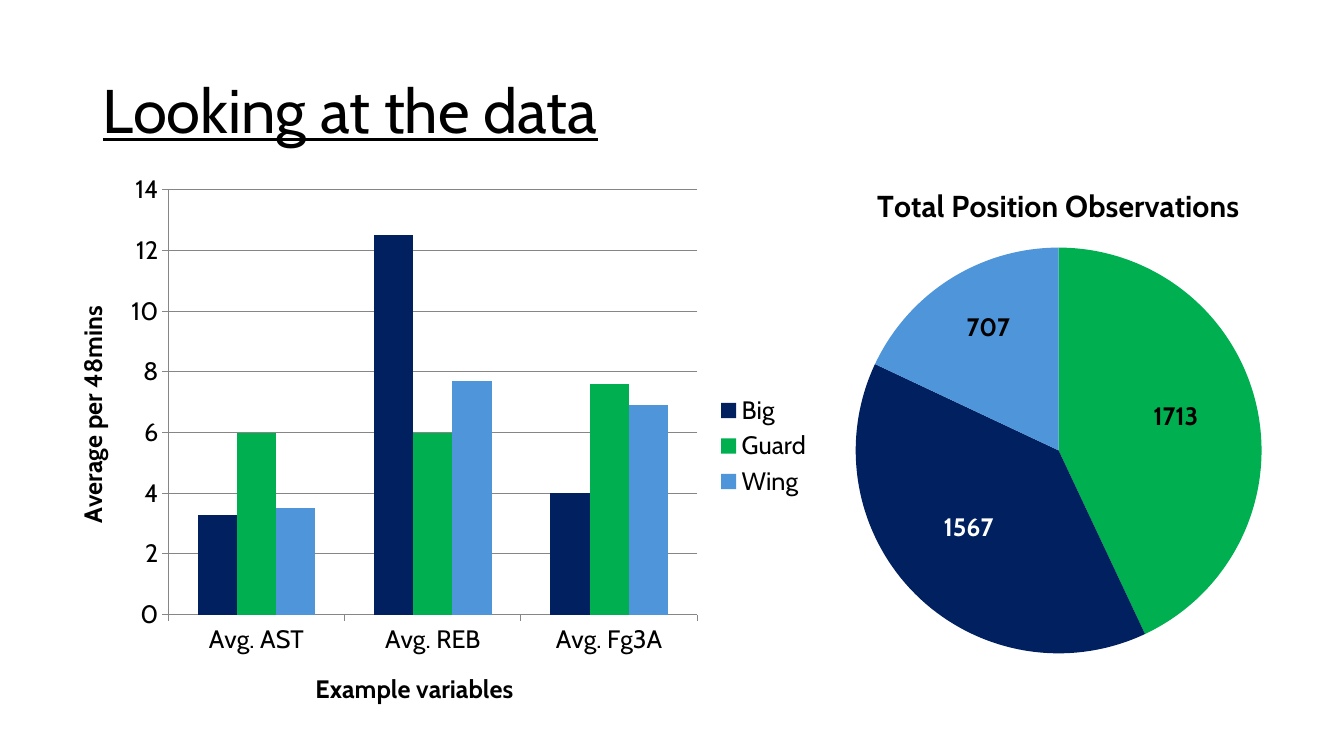
from pptx import Presentation
from pptx.chart.data import CategoryChartData
from pptx.dml.color import RGBColor
from pptx.enum.chart import XL_CHART_TYPE, XL_LEGEND_POSITION, XL_TICK_MARK
from pptx.enum.text import MSO_ANCHOR
from pptx.util import Inches, Pt

FONT = "Cabin"
BLACK, WHITE, GREY = "000000", "FFFFFF", "868686"
NAVY, GREEN, BLUE = "002060", "00B050", "4E95D9"
TITLE = "Looking at the data"
STATS = ["Avg. AST", "Avg. REB", "Avg. Fg3A"]
BARS = [
    ("Big", [3.3, 12.5, 4], NAVY),
    ("Guard", [6, 6, 7.6], GREEN),
    ("Wing", [3.5, 7.7, 6.9], BLUE),
]
SHARES = [(43, GREEN), (39, NAVY), (18, BLUE)]
COUNTS = [
    ("707", 9.49, 3.04, 0.71, BLACK),
    ("1713", 11.34, 3.92, 1.01, BLACK),
    ("1567", 9.26, 5.02, 1.01, WHITE),
]


def rgb(code):
    return RGBColor.from_string(code)


def style(font, size=18, color=BLACK, bold=False, line=False):
    font.name, font.size = FONT, Pt(size)
    font.bold, font.underline = bold, line
    font.color.rgb = rgb(color)


def write(frame, text, **form):
    para = frame.paragraphs[0]
    run = para.add_run()
    run.text = text
    style(run.font, **form)
    return para


def paint(part, color):
    part.format.fill.solid()
    part.format.fill.fore_color.rgb = rgb(color)


def stroke(line):
    line.color.rgb = rgb(GREY)
    line.width = Pt(0.75)


def plot(slide, kind, box, names, rows):
    data = CategoryChartData()
    data.categories = names
    for name, vals in rows:
        data.add_series(name, vals)
    chart = slide.shapes.add_chart(kind, *map(Inches, box), data).chart
    style(chart.font)
    return chart


def add_bars(slide):
    rows = [(name, vals) for name, vals, _ in BARS]
    chart = plot(slide, XL_CHART_TYPE.COLUMN_CLUSTERED, (0.52, 1.62, 7.64, 5.61), STATS, rows)
    chart.has_title = False
    chart.has_legend = True
    chart.legend.position = XL_LEGEND_POSITION.RIGHT
    chart.legend.include_in_layout = False
    style(chart.legend.font)
    bars = chart.plots[0]
    bars.gap_width, bars.overlap, bars.vary_by_categories = 150, 0, False
    for series, (_, _, color) in zip(bars.series, BARS):
        paint(series, color)
    titles = "Example variables", "Average per 48mins"
    for axis, text in zip((chart.category_axis, chart.value_axis), titles):
        axis.major_tick_mark = XL_TICK_MARK.OUTSIDE
        axis.minor_tick_mark = XL_TICK_MARK.NONE
        stroke(axis.format.line)
        style(axis.tick_labels.font)
        write(axis.axis_title.text_frame, text, bold=True)
    chart.value_axis.has_major_gridlines = True
    stroke(chart.value_axis.major_gridlines.format.line)


def add_pie(slide):
    rows = [("Series 1", [val for val, _ in SHARES])]
    chart = plot(slide, XL_CHART_TYPE.PIE, (6.5, 1.62, 8, 5), ["1", "2", "3"], rows)
    chart.has_legend = False
    chart.has_title = True
    write(chart.chart_title.text_frame, "Total Position Observations", size=21.6, bold=True)
    series = chart.plots[0].series[0]
    for i, (_, color) in enumerate(SHARES):
        paint(series.points[i], color)
    for text, left, top, height, color in COUNTS:
        area = map(Inches, (left, top, 0.93, height))
        frame = slide.shapes.add_textbox(*area).text_frame
        frame.word_wrap = True
        write(frame, text, color=color, bold=True)


def main():
    deck = Presentation()
    deck.slide_width, deck.slide_height = Inches(13.33), Inches(7.5)
    slide = deck.slides.add_slide(deck.slide_layouts[5])
    head = slide.shapes.title
    head.left, head.top = Inches(0.92), Inches(0.4)
    head.width, head.height = Inches(11.5), Inches(1.45)
    head.text_frame.vertical_anchor = MSO_ANCHOR.MIDDLE
    para = write(head.text_frame, TITLE, size=44, line=True)
    para.alignment, para.line_spacing = 1, 0.9
    add_bars(slide)
    add_pie(slide)
    deck.save("out.pptx")


if __name__ == "__main__":
    main()
